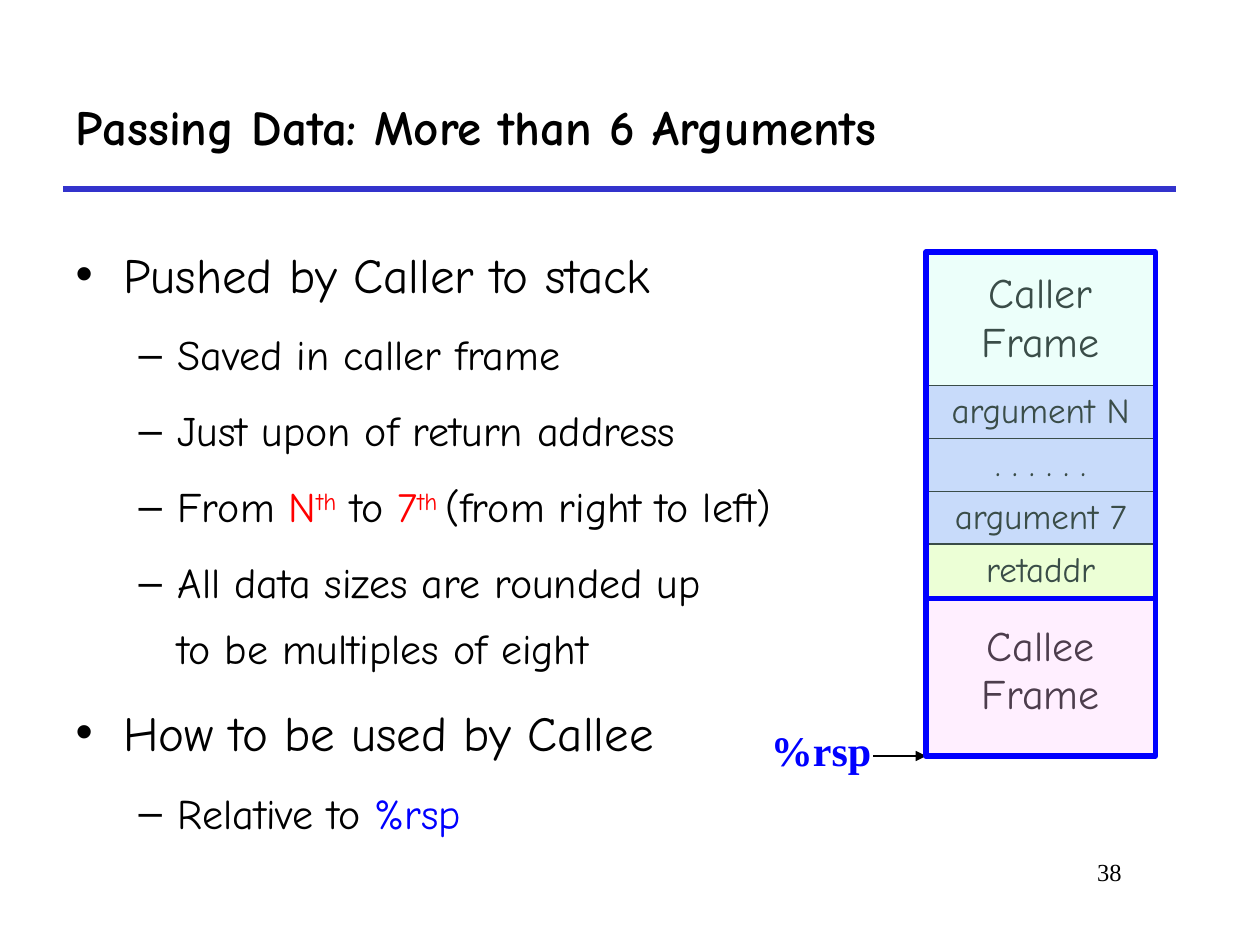
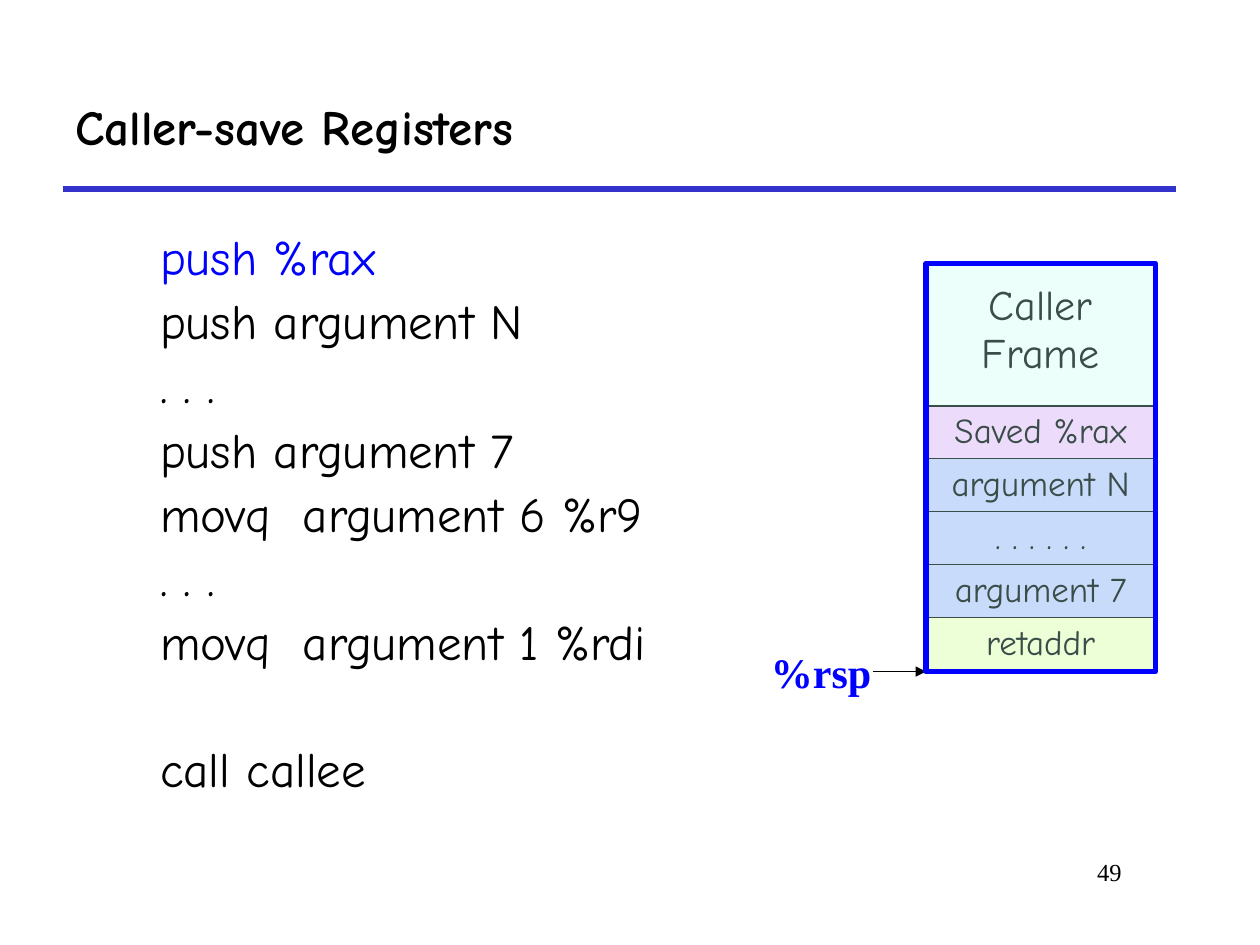
from lxml import etree
from pptx import Presentation
from pptx.dml.color import RGBColor
from pptx.enum.shapes import MSO_CONNECTOR, MSO_SHAPE
from pptx.enum.text import MSO_ANCHOR, MSO_AUTO_SIZE, PP_ALIGN
from pptx.oxml.ns import qn
from pptx.util import Inches, Pt

LINE = MSO_CONNECTOR.STRAIGHT
RECT = MSO_SHAPE.RECTANGLE
MIDDLE, TOP = MSO_ANCHOR.MIDDLE, MSO_ANCHOR.TOP
NO_FIT = MSO_AUTO_SIZE.NONE
LEFT, CENTER, RIGHT = PP_ALIGN.LEFT, PP_ALIGN.CENTER, PP_ALIGN.RIGHT

HAND, SERIF = "Comic Neue", "Times New Roman"
BLACK, BLUE, RED, RULE = "000000", "0000FF", "FF0000", "3333CC"
LILAC, CREAM, PINK, MINT = "CCCCFF", "FFFFCC", "FFCCFF", "C2FFF0"

STACK_LEFT, STACK_WIDTH = 7.35, 1.82
ROW_HEIGHT, ROW_PITCH = 0.43, 0.42
OPERAND_GAP = 9

ARGUMENT_ROWS = [("argument N", LILAC), (". . . . . .", LILAC),
                 ("argument 7", LILAC), ("retaddr", CREAM)]

PASSING_POINTS = [
    (0, [("Pushed by Caller to stack", BLACK)]),
    (1, [("Saved in caller frame", BLACK)]),
    (1, [("Just upon of return address", BLACK)]),
    (1, [("From ", BLACK), ("N", RED), ("th", RED, 30), (" to ", BLACK),
         ("7", RED), ("th ", RED, 30), ("(from right to left)", BLACK)]),
    (1, [("All data sizes are rounded up\nto be multiples of eight", BLACK)]),
    (0, [("How to be used by Callee", BLACK)]),
    (1, [("Relative to ", BLACK), ("%rsp", BLUE)]),
]
POINT_LEVELS = [("•", 0.38, -0.38, 28, 7), ("–", 0.81, -0.31, 24, 6)]

CALL_CODE = [
    (["push %rax"], BLUE, 0), (["push argument N"], BLACK, 3),
    ([". . ."], BLACK, 3), (["push argument 7"], BLACK, 3),
    (["movq", " ", "argument 6 %r9"], BLACK, 3), ([". . ."], BLACK, 3),
    (["movq", " ", "argument 1 %rdi"], BLACK, 3), (["call callee"], BLACK, 39),
]


def rgb(color):
    return RGBColor.from_string(color)


def inches(*values):
    return [Inches(v) for v in values]


def sub(parent, tag, **attrs):
    el = etree.SubElement(parent, qn(tag))
    for name, value in attrs.items():
        el.set(name, str(value))
    return el


def add_text(p, text, size, color=BLACK, font=HAND, bold=False, raised=0, spacing=0):
    for i, line in enumerate(text.split("\n")):
        if i:
            p.add_line_break()
        r = p.add_run()
        r.text = line
        r.font.size, r.font.name, r.font.bold = Pt(size), font, bold
        r.font.color.rgb = rgb(color)
        if raised:
            r.font._element.set("baseline", str(raised * 1000))
        if spacing:
            r.font._element.set("spc", str(spacing * 100))


def place(shape, box):
    shape.left, shape.top, shape.width, shape.height = inches(*box)


def add_line(shapes, x1, y1, x2, y2, color, width, arrow=False):
    line = shapes.add_connector(LINE, *inches(x1, y1, x2, y2))
    line.line.color.rgb = rgb(color)
    line.line.width = Pt(width)
    if arrow:
        sub(line.line._get_or_add_ln(), "a:tailEnd", type="triangle")
    sub(line._element.spPr, "a:effectLst")


def add_base(prs, title, number):
    s = prs.slides.add_slide(prs.slide_layouts[1])
    add_line(s.shapes, 0.5, 1.5, 9.33, 1.5, RULE, 3)
    place(s.shapes.title, (0.5, 0.5, 8.83, 1))
    tf = s.shapes.title.text_frame
    tf.vertical_anchor, tf.auto_size = MIDDLE, NO_FIT
    p = tf.paragraphs[0]
    p.alignment = LEFT
    add_text(p, title, 28, bold=True)
    tf = s.shapes.add_textbox(*inches(7.58, 6.75, 1.42, 0.5)).text_frame
    tf.word_wrap = True
    p = tf.paragraphs[0]
    p.alignment = RIGHT
    add_text(p, str(number), 14, font=SERIF)
    return s


def body_paragraphs(s, box, items):
    body = s.placeholders[1]
    place(body, box)
    tf = body.text_frame
    tf.auto_size, tf.vertical_anchor = NO_FIT, TOP
    for i, item in enumerate(items):
        yield (tf.add_paragraph() if i else tf.paragraphs[0]), item


def set_indent(p, margin, indent):
    pPr = p._p.get_or_add_pPr()
    pPr.set("marL", str(Inches(margin)))
    pPr.set("indent", str(Inches(indent)))
    return pPr


def add_points(s, box, points):
    for p, (level, runs) in body_paragraphs(s, box, points):
        bullet, margin, indent, size, before = POINT_LEVELS[level]
        p.level = level
        pPr = set_indent(p, margin, indent)
        sub(sub(pPr, "a:buClr"), "a:srgbClr", val=BLACK)
        sub(pPr, "a:buChar", char=bullet)
        p.line_spacing = 1.3
        p.space_before = Pt(before if p._p.getprevious().tag == qn("a:p") else 0)
        for text, color, *raised in runs:
            add_text(p, text, size, color, raised=raised[0] if raised else 0)


def add_code(s, box, lines):
    for p, (parts, color, before) in body_paragraphs(s, box, lines):
        sub(set_indent(p, 0, 0), "a:buNone")
        p.space_before = Pt(before)
        for text in parts:
            add_text(p, text, 28, color, spacing=OPERAND_GAP if text == " " else 0)


def add_cell(s, top, height, text, size, fill=None, inset=0.05):
    box = inches(STACK_LEFT, top, STACK_WIDTH, height)
    table = s.shapes.add_table(1, 1, *box).table
    table.first_row = table.horz_banding = False
    cell = table.cell(0, 0)
    cell.margin_top = Inches(inset)
    tcPr = cell._tc.get_or_add_tcPr()
    for side in ("a:lnL", "a:lnR", "a:lnT", "a:lnB"):
        ln = sub(tcPr, side, w=Pt(1.08))
        sub(sub(ln, "a:solidFill"), "a:srgbClr", val=BLACK)
    if fill:
        cell.fill.solid()
        cell.fill.fore_color.rgb = rgb(fill)
    else:
        cell.fill.background()
    p = cell.text_frame.paragraphs[0]
    p.alignment = CENTER
    add_text(p, text, size)


def add_frame(s, top, height, text, tint, inset, rows=()):
    for i, (label, fill) in enumerate(rows):
        row_top = top + height - ROW_HEIGHT - ROW_PITCH * (len(rows) - 1 - i)
        add_cell(s, row_top, ROW_HEIGHT, label, 20, fill)
    add_cell(s, top, height, text, 24, inset=inset)
    rect = s.shapes.add_shape(RECT, *inches(STACK_LEFT, top, STACK_WIDTH, height))
    rect.shadow.inherit = False
    rect.fill.solid()
    rect.fill.fore_color.rgb = rgb(tint)
    color = rect._element.spPr.find(qn("a:solidFill"))[0]
    sub(color, "a:alpha", val=30000)
    rect.line.color.rgb = rgb(BLUE)
    rect.line.width = Pt(3)


def add_pointer(s, y, label_top):
    shapes = s.shapes.add_group_shape().shapes
    tf = shapes.add_textbox(*inches(6.02, label_top, 0.99, 0.5)).text_frame
    tf.word_wrap, tf.auto_size = True, NO_FIT
    tf.margin_right = 0
    add_text(tf.paragraphs[0], "%rsp", 24, BLUE, SERIF, bold=True)
    add_line(shapes, 6.93, y, STACK_LEFT, y, BLACK, 0.75, arrow=True)


def build_passing_data(prs):
    s = add_base(prs, "Passing Data: More than 6 Arguments", 38)
    add_points(s, (0.5, 1.75, 9.17, 4.83), PASSING_POINTS)
    add_pointer(s, 6, 5.7)
    add_frame(s, 2, 2.75, "Caller\nFrame", MINT, 0.15, ARGUMENT_ROWS)
    add_frame(s, 4.75, 1.25, "Callee\nFrame", PINK, 0.2)


def build_caller_save(prs):
    s = add_base(prs, "Caller-save Registers", 49)
    add_code(s, (1.17, 1.75, 8.5, 4.83), CALL_CODE)
    add_pointer(s, 5.33, 5.08)
    rows = [("Saved %rax", PINK)] + ARGUMENT_ROWS
    add_frame(s, 2.09, 3.24, "Caller\nFrame", MINT, 0.15, rows)


def main():
    prs = Presentation()
    prs.slide_width, prs.slide_height = inches(10, 7.5)
    build_passing_data(prs)
    build_caller_save(prs)
    prs.save("out.pptx")


if __name__ == "__main__":
    main()
